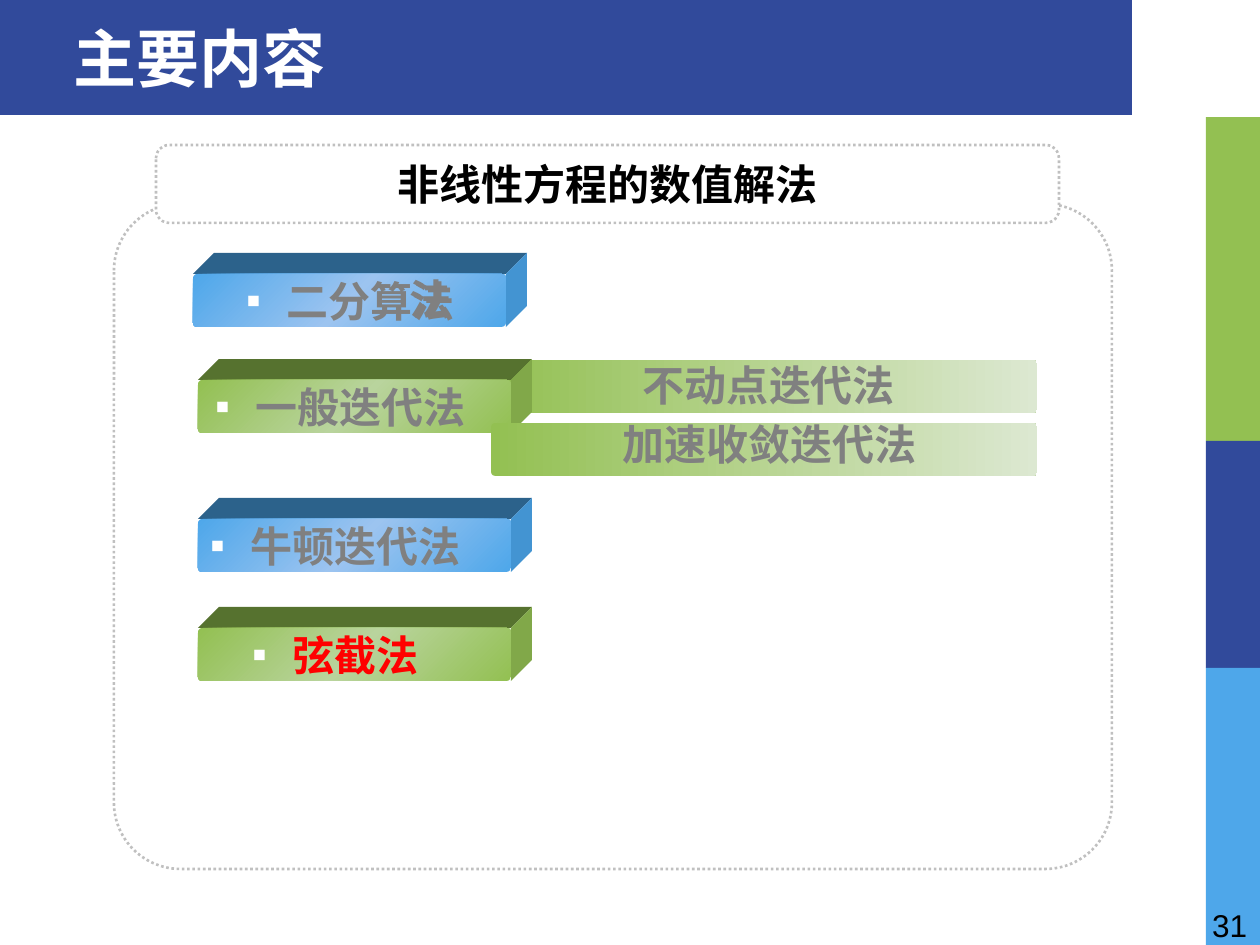
import pptx
import pptx.util
import pptx.dml.color
import pptx.enum.dml
import pptx.enum.shapes
import pptx.enum.text
import pptx.oxml.ns
from lxml import etree

SHAPES = pptx.enum.shapes.MSO_SHAPE
ALIGN = pptx.enum.text.PP_ALIGN
ANCHOR = pptx.enum.text.MSO_ANCHOR
qn = pptx.oxml.ns.qn

NAVY, BLUE, GREEN = "314A9B", "4EA7EA", "93C052"
WHITE, BLACK, GREY, SILVER, RED = "FFFFFF", "000000", "808080", "C0C0C0", "FF0000"
BLOCK_COLOURS = {
    "blue": (BLUE, "9CC4F0", "2C628B", "4394D2"),
    "green": (GREEN, "B9D49D", "56722F", "81A849"),
}
BLOCK_WIDTH, BLOCK_HEIGHT, DEPTH = 313, 53, 21
HANGING = 40


def px(length):
    return round(length * 914400 / 126)


def colour(value):
    return pptx.dml.color.RGBColor.from_string(value)


class SlideBuilder:
    font = "Arial"

    def __init__(self, page):
        self.page = page

    def shape(self, x, y, width, height, fill=None, radius=None):
        kind = SHAPES.RECTANGLE if radius is None else SHAPES.ROUNDED_RECTANGLE
        box = self.page.shapes.add_shape(kind, px(x), px(y), px(width), px(height))
        if radius is not None:
            box.adjustments[0] = radius
        self.paint(box, fill)
        return box

    def paint(self, box, fill):
        box.shadow.inherit = False
        box.line.fill.background()
        if fill:
            box.fill.solid()
            box.fill.fore_color.rgb = colour(fill)
        else:
            box.fill.background()

    def dotted(self, x, y, width, height, radius, fill=None):
        box = self.shape(x, y, width, height, fill, radius)
        box.line.color.rgb = colour(SILVER)
        box.line.width = pptx.util.Pt(1.5)
        box.line.dash_style = pptx.enum.dml.MSO_LINE.ROUND_DOT
        return box

    def gradient(self, x, y, width, height, colours, angle):
        box = self.shape(x, y, width, height, radius=0.08)
        box.fill.gradient()
        box.fill.gradient_angle = angle
        stops = next(box._element.iter(qn("a:gsLst")))
        for stop in list(stops):
            stops.remove(stop)
        for index, value in enumerate(colours):
            position = str(100000 * index // (len(colours) - 1))
            stop = etree.SubElement(stops, qn("a:gs"), pos=position)
            etree.SubElement(stop, qn("a:srgbClr"), val=value)
        return box

    def face(self, points, fill):
        corners = [(px(x), px(y)) for x, y in points]
        builder = self.page.shapes.build_freeform(*corners[0])
        builder.add_line_segments(corners[1:])
        self.paint(builder.convert_to_shape(), fill)

    def set_text(self, box, text, size, text_colour, align=ALIGN.LEFT, bold=True,
                 inset=0, right=0, top=0, anchor=ANCHOR.MIDDLE, bullet=False):
        frame = box.text_frame
        frame.word_wrap = True
        frame.vertical_anchor = anchor
        frame.margin_left, frame.margin_right = px(inset), px(right)
        frame.margin_top = frame.margin_bottom = px(top)
        para = frame.paragraphs[0]
        para.text = text
        para.alignment = align
        if bullet:
            self.bullet(para)
        para.font.name = self.font
        para.font.size = pptx.util.Pt(size)
        para.font.bold = bold
        para.font.color.rgb = colour(text_colour)

    def bullet(self, para):
        properties = para._p.get_or_add_pPr()
        properties.set("marL", str(px(HANGING)))
        properties.set("indent", str(-px(HANGING)))
        tint = etree.SubElement(properties, qn("a:buClr"))
        etree.SubElement(tint, qn("a:srgbClr"), val=WHITE)
        etree.SubElement(properties, qn("a:buFont"), typeface=self.font)
        etree.SubElement(properties, qn("a:buChar"), char="▪")

    def title(self, x, y, width, height, text):
        box = self.page.shapes.title
        box.left, box.top, box.width, box.height = map(px, (x, y, width, height))
        self.page.shapes._spTree.append(box._element)
        self.set_text(box, text, 36, WHITE, inset=13)

    def label(self, x, y, width, height, text, size=24, text_colour=GREY, **style):
        box = self.page.shapes.add_textbox(px(x), px(y), px(width), px(height))
        self.set_text(box, text, size, text_colour, inset=13, right=13, top=6,
                      anchor=ANCHOR.TOP, **style)

    def block(self, x, y, scheme, text, inset, text_colour=GREY):
        edge, middle, top, side = BLOCK_COLOURS[scheme]
        right, bottom = x + BLOCK_WIDTH, y + BLOCK_HEIGHT
        back_left, back_top, back_right = x + DEPTH, y - DEPTH, right + DEPTH
        self.face([(x, y), (back_left, back_top), (back_right, back_top), (right, y)], top)
        self.face([(right, y), (back_right, back_top),
                   (back_right, bottom - DEPTH), (right, bottom)], side)
        front = self.gradient(x, y, BLOCK_WIDTH, BLOCK_HEIGHT, (edge, middle, edge), 315)
        self.set_text(front, text, 24, text_colour, inset=inset, bullet=True)

    def bar(self, y):
        self.gradient(491, y, 546, 53, (GREEN, "DCE8D1"), 0)


def main():
    deck = pptx.Presentation()
    deck.slide_width, deck.slide_height = px(1260), px(945)
    page = deck.slides.add_slide(deck.slide_layouts[5])
    slide = SlideBuilder(page)

    slide.shape(0, 0, 1132, 115, NAVY)
    for y, height, fill in ((117, 324, GREEN), (441, 227, NAVY), (668, 277, BLUE)):
        slide.shape(1206, y, 54, height, fill)
    slide.label(1190, 900, 70, 45, "31", 18, BLACK, align=ALIGN.RIGHT, bold=False)
    slide.title(60, 24, 977, 67, "主要内容")

    slide.dotted(114, 204, 998, 665, 0.1)
    slide.block(198, 519, "blue", "牛顿迭代法", 11)
    heading = slide.dotted(156, 145, 903, 78, 0.17, WHITE)
    slide.set_text(heading, "非线性方程的数值解法", 24, BLACK, align=ALIGN.CENTER)
    slide.bar(360)
    slide.block(193, 274, "blue", "二分算法", 52)
    slide.block(198, 380, "green", "一般迭代法", 16)
    slide.bar(423)
    slide.label(630, 354, 358, 63, "不动点迭代法")
    slide.label(610, 413, 427, 63, "加速收敛迭代法")
    slide.label(396, 268, 68, 63, "法")
    slide.block(198, 628, "green", "弦截法", 53, RED)

    deck.save("out.pptx")


if __name__ == "__main__":
    main()
